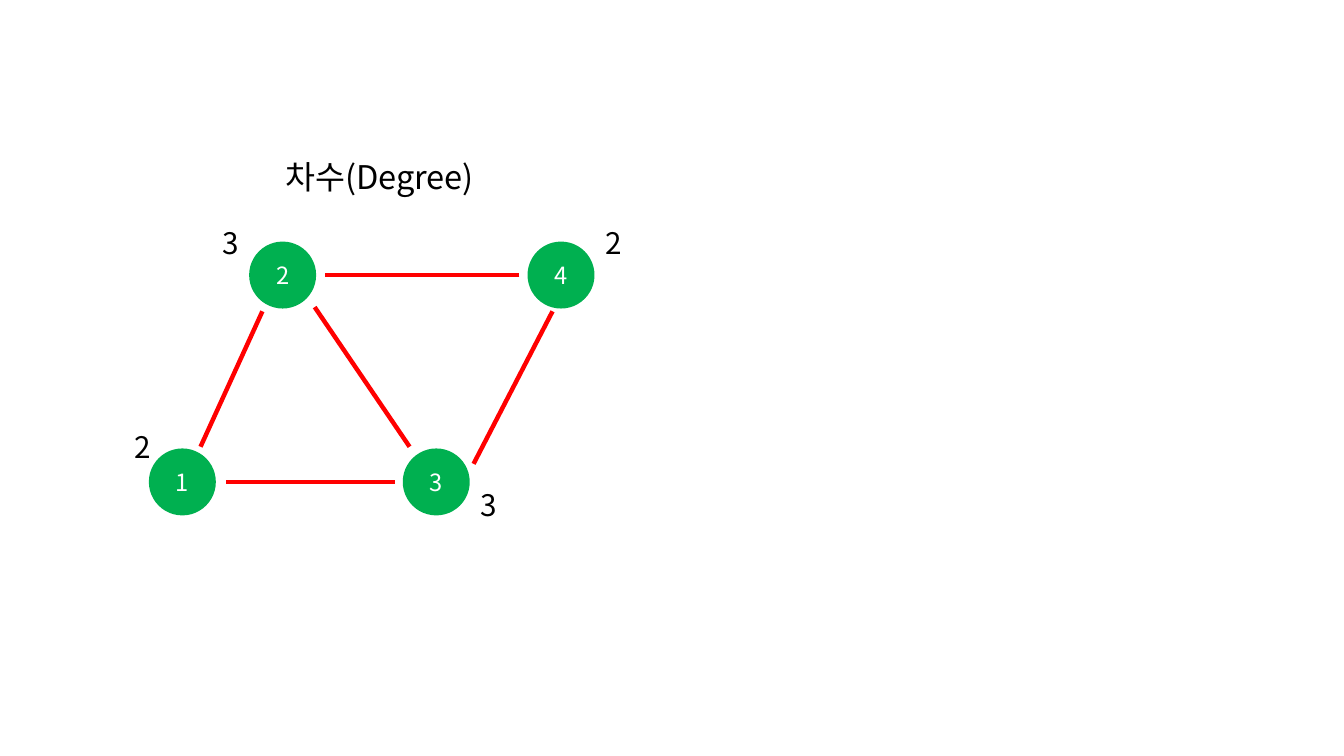
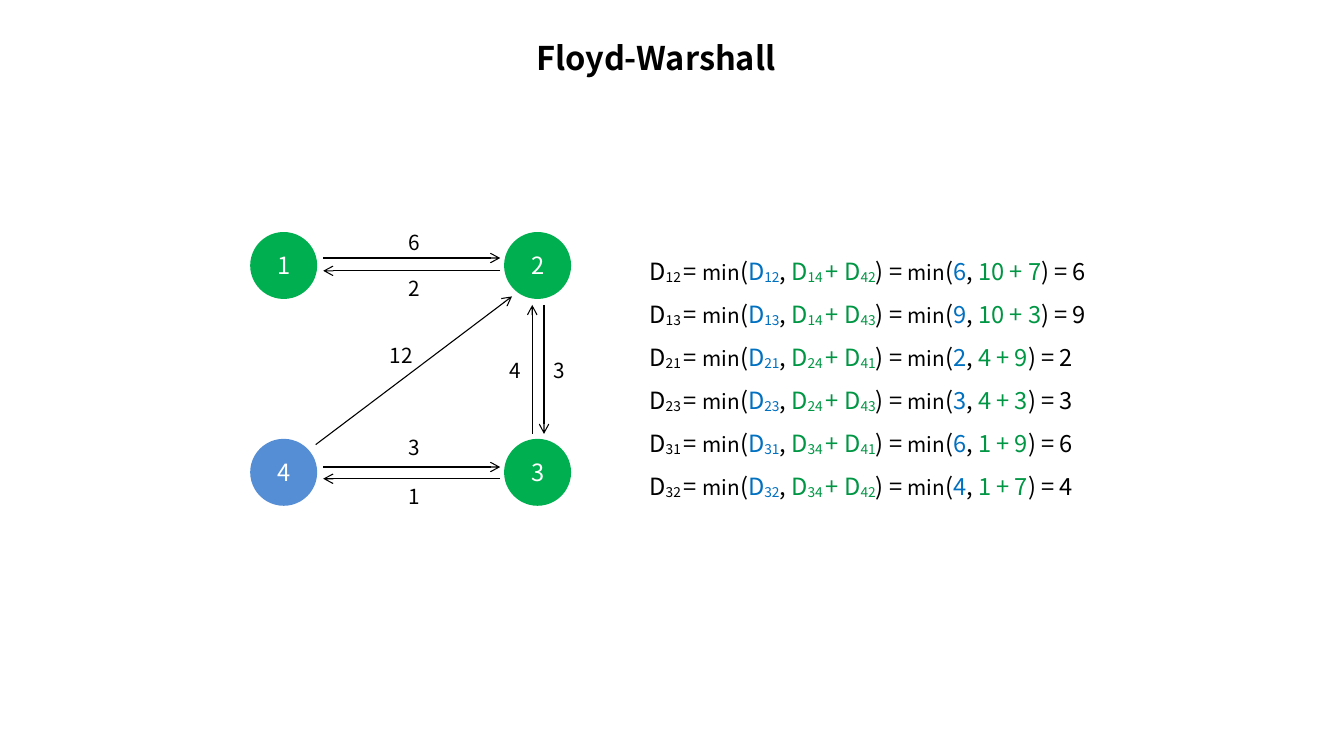
from lxml.etree import SubElement as add_tag
from pptx import Presentation
from pptx.dml.color import RGBColor as Rgb
from pptx.enum.shapes import MSO_CONNECTOR as Conn, MSO_SHAPE as Kind
from pptx.enum.text import MSO_ANCHOR as Anchor, PP_ALIGN as Align
from pptx.oxml.ns import qn
from pptx.util import Pt

PX = 9144  # EMU in one px, 100 px to the inch

BLACK = Rgb(0x00, 0x00, 0x00)
WHITE = Rgb(0xFF, 0xFF, 0xFF)
GREEN = Rgb(0x00, 0xB0, 0x50)
STEEL = Rgb(0x55, 0x8E, 0xD5)
RED = Rgb(0xFF, 0x00, 0x00)
BLUE = Rgb(0x00, 0x70, 0xC0)
LEAF = Rgb(0x00, 0x96, 0x44)


def set_all(target, values):
    for name, value in values.items():
        setattr(target, name, value)


class Deck:
    font = "Noto Sans CJK KR"
    node_size = 60

    def __init__(self, width, height):
        self.prs = Presentation()
        set_all(self.prs, {"slide_width": width * PX, "slide_height": height * PX})
        self.slide = None

    def new(self):
        self.slide = self.prs.slides.add_slide(self.prs.slide_layouts[6])

    def run(self, para, text, size, color=BLACK, bold=False, sub=False):
        run = para.add_run()
        run.text = text
        set_all(run.font, {"size": Pt(size), "bold": bold, "name": self.font})
        run.font.color.rgb = color
        props = run._r.get_or_add_rPr()
        add_tag(props, qn("a:ea"), typeface=self.font)
        if sub:
            props.set("baseline", "-10000")

    def node(self, left, top, text, color=GREEN):
        side = self.node_size * PX
        node = self.slide.shapes.add_shape(Kind.OVAL, left * PX, top * PX, side, side)
        node.shadow.inherit = False
        node.fill.solid()
        node.fill.fore_color.rgb = color
        node.line.color.rgb = color
        node.line.width = Pt(2)
        node.text_frame.vertical_anchor = Anchor.MIDDLE
        para = node.text_frame.paragraphs[0]
        para.alignment = Align.CENTER
        self.run(para, text, 16, WHITE)

    def frame(self, left, top, width, height):
        box = self.slide.shapes.add_textbox(left * PX, top * PX, width * PX, height * PX)
        box.text_frame.word_wrap = True
        return box.text_frame

    def label(self, mid, top, text, size, width=50, height=44, bold=False):
        """Text centred on the x position mid."""
        para = self.frame(mid - width // 2, top, width, height).paragraphs[0]
        para.alignment = Align.CENTER
        self.run(para, text, size, bold=bold)

    def title(self, mid, top, text, bold=False):
        self.label(mid, top, text, 22, 400, 47, bold)

    def edge(self, start, end, color, width, arrow=False):
        ends = [v * PX for v in start + end]
        edge = self.slide.shapes.add_connector(Conn.STRAIGHT, *ends)
        edge.line.color.rgb = color
        edge.line.width = Pt(width)
        props = edge._element.spPr
        if arrow:
            add_tag(props.find(qn("a:ln")), qn("a:tailEnd"), type="arrow")
        add_tag(props, qn("a:effectLst"))

    def sums(self, left, top, width, height, rows):
        """One paragraph for each row of (text, format) parts."""
        frame = self.frame(left, top, width, height)
        for i, row in enumerate(rows):
            para = frame.add_paragraph() if i else frame.paragraphs[0]
            para.line_spacing = 1.5
            for text, look in row:
                self.run(para, text, **{"size": 16, **look})


def sum_row(start, end, cost, first, second, hub=4):
    """Parts of the formula that compares the direct way with the way by hub."""
    small, blue, leaf = {"size": 14}, {"color": BLUE}, {"color": LEAF}
    sub = {"sub": True}
    return [
        ("D", {}), (f"{start}{end} ", sub), ("= ", {}), ("min", small), ("(", {}),
        ("D", blue), (f"{start}{end}", blue | sub), (", ", {}),
        ("D", leaf), (f"{start}{hub} ", leaf | sub),
        ("+ D", leaf), (f"{hub}{end}", leaf | sub),
        (") = ", {}), ("min", small), ("(", {}),
        (f"{cost}", blue), (", ", {}), (f"{first} + {second}", leaf),
        (f") = {min(cost, first + second)}", {}),
    ]


def degree(deck):
    deck.new()
    deck.title(356, 142, "차수(Degree)")
    # Nodes
    for left, top, text in [(235, 228, "2"), (141, 422, "1"),
                            (379, 422, "3"), (496, 228, "4")]:
        deck.node(left, top, text)
    # Edges
    for start, end in [((246, 292), (188, 419)), ((487, 258), (305, 258)),
                       ((370, 452), (212, 452)), ((518, 292), (444, 435)),
                       ((295, 288), (384, 419))]:
        deck.edge(start, end, RED, 3)
    # Degree of each node
    for mid, top, text in [(216, 206, "3"), (575, 206, "2"),
                           (134, 397, "2"), (458, 452, "3")]:
        deck.label(mid, top, text, 20)


def floyd(deck):
    deck.new()
    deck.title(615, 31, "Floyd-Warshall", bold=True)
    # Nodes
    for left, top, text, color in [(236, 219, "1", GREEN), (474, 219, "2", GREEN),
                                   (474, 413, "3", GREEN), (236, 413, "4", STEEL)]:
        deck.node(left, top, text, color)
    # Arrows
    for start, end in [((303, 242), (469, 242)), ((469, 254), (303, 254)),
                       ((303, 438), (469, 438)), ((469, 449), (303, 449)),
                       ((296, 417), (480, 278)),
                       ((499, 407), (499, 286)), ((510, 286), (510, 407))]:
        deck.edge(start, end, BLACK, 0.75, arrow=True)
    # Weights
    for mid, top, text in [(388, 211, "6"), (388, 254, "2"), (376, 317, "12"),
                           (483, 331, "4"), (524, 331, "3"),
                           (388, 403, "3"), (388, 449, "1")]:
        deck.label(mid, top, text, 14, 58, 34)
    # Formulas
    direct = {(1, 2): 6, (1, 3): 9, (2, 1): 2, (2, 3): 3, (3, 1): 6, (3, 2): 4}
    to_hub = {1: 10, 2: 4, 3: 1}
    from_hub = {1: 9, 2: 7, 3: 3}
    rows = [sum_row(a, b, cost, to_hub[a], from_hub[b])
            for (a, b), cost in direct.items()]
    deck.sums(599, 222, 559, 252, rows)


def main():
    deck = Deck(1260, 709)
    degree(deck)
    floyd(deck)
    deck.prs.save("out.pptx")


if __name__ == "__main__":
    main()
